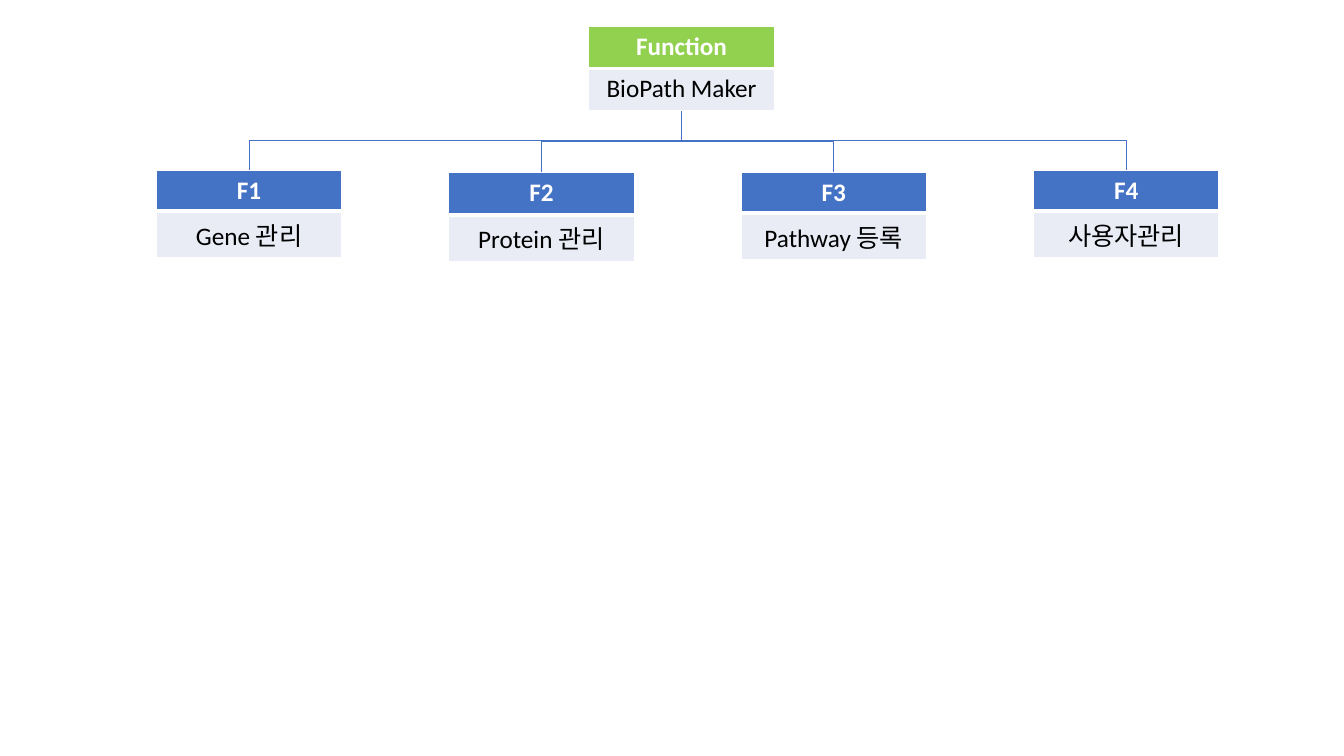
from lxml.etree import SubElement
from pptx import Presentation
from pptx.dml.color import RGBColor
from pptx.enum.shapes import MSO_CONNECTOR
from pptx.enum.text import PP_ALIGN
from pptx.oxml.ns import qn
from pptx.util import Inches, Pt

hues = {"root": "92D050", "head": "4472C4", "body": "E9EBF5",
        "white": "FFFFFF", "black": "000000"}
wide = 1.84


def fill_cell(cell, text, fill, ink, bold, base):
    # Borders come before the fill in the cell properties
    props = cell._tc.get_or_add_tcPr()
    for side, size in (("L", 1), ("R", 1), ("T", 1), ("B", base)):
        edge = SubElement(props, qn("a:ln" + side), w=str(Pt(size)))
        paint = SubElement(edge, qn("a:solidFill"))
        SubElement(paint, qn("a:srgbClr"), val=hues["white"])
    cell.fill.solid()
    cell.fill.fore_color.rgb = RGBColor.from_string(hues[fill])
    para = cell.text_frame.paragraphs[0]
    para.alignment = PP_ALIGN.CENTER
    run = para.add_run()
    run.text = text
    run.font.name = "Calibri"
    run.font.size = Pt(18)
    run.font.bold = bold
    run.font.color.rgb = RGBColor.from_string(hues[ink])


def add_box(left, top, high, code, name, fill):
    frame = slide.shapes.add_table(2, 1, Inches(left), Inches(top),
                                   Inches(wide), Inches(high + 0.42))
    table = frame.table
    table.rows[0].height = Inches(high)
    table.rows[1].height = Inches(0.42)
    fill_cell(table.cell(0, 0), code, fill, "white", True, 3)
    fill_cell(table.cell(1, 0), name, "body", "black", False, 1)


deck = Presentation()
deck.slide_width, deck.slide_height = Inches(13.33), Inches(7.5)
slide = deck.slides.add_slide(deck.slide_layouts[6])

# Root box
add_box(5.84, 0.26, 0.42, "Function", "BioPath Maker", "root")
stem, base = 5.84 + wide / 2, 1.1

# Function boxes, each with an elbow line up to the root
parts = [("F1", "Gene 관리", 1.69, 0.4), ("F2", "Protein 관리", 1.71, 0.42),
         ("F3", "Pathway 등록", 1.71, 0.4), ("F4", "사용자관리", 1.69, 0.4)]
for i, (code, name, top, high) in enumerate(parts):
    left = 1.55 + 2.9 * i
    add_box(left, top, high, code, name, "head")

    # The elbow is laid out sideways, then turned to leave upward
    mid = left + wide / 2
    drop, span = top - base, abs(stem - mid)
    x = (mid + stem - drop) / 2
    y = (top + base - span) / 2
    start, end, turn = x, x + drop, 270
    if mid < stem:
        start, end, turn = end, start, 90
    line = slide.shapes.add_connector(
        MSO_CONNECTOR.ELBOW, Inches(start), Inches(y + span),
        Inches(end), Inches(y))
    props = line._element.spPr
    props.find(qn("a:xfrm")).set("rot", str(turn * 60000))
    line.line.color.rgb = RGBColor.from_string(hues["head"])
    line.line.width = Pt(0.5)
    SubElement(props, qn("a:effectLst"))

deck.save("out.pptx")
